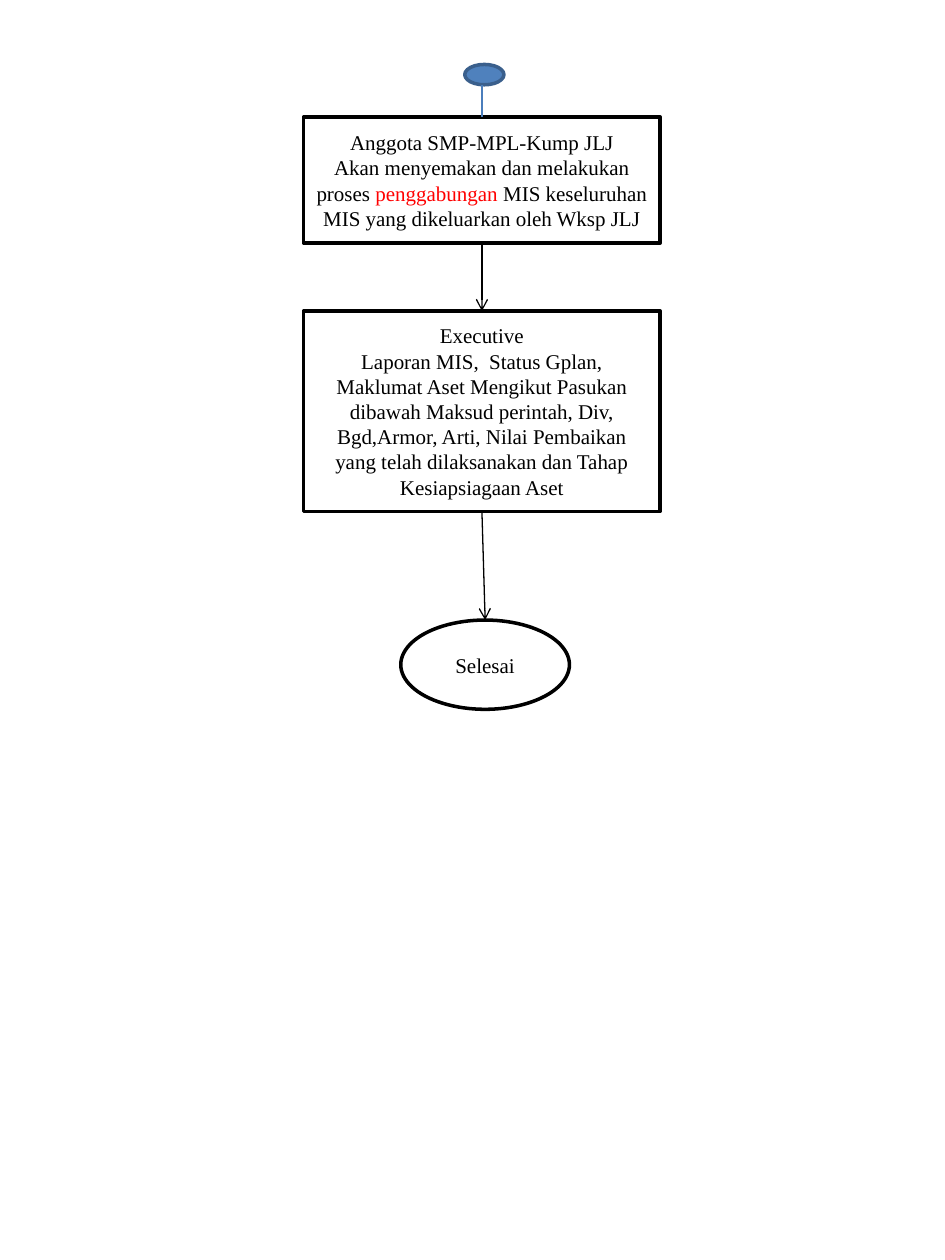
import lxml.etree
import pptx
import pptx.util
import pptx.dml.color
import pptx.enum.shapes
import pptx.enum.text
import pptx.oxml.ns
from pptx.util import Cm

KIND = pptx.enum.shapes.MSO_SHAPE
BLACK, RED = "000000", "FF0000"

NODES = {
    "start": (KIND.OVAL, (9.37, 1.3, 0.79, 0.41), "4F81BD", "3A5F8C", []),
    "merge": (KIND.RECTANGLE, (6.12, 2.36, 7.19, 2.54), None, BLACK, [
        [("Anggota SMP-MPL-Kump JLJ", BLACK)],
        [("Akan menyemakan dan melakukan proses ", BLACK),
         ("penggabungan", RED),
         (" MIS keseluruhan MIS yang dikeluarkan oleh Wksp JLJ", BLACK)],
    ]),
    "report": (KIND.RECTANGLE, (6.12, 6.27, 7.19, 4.04), None, BLACK, [
        [("Executive", BLACK)],
        [("Laporan MIS,  Status Gplan, Maklumat Aset Mengikut Pasukan "
          "dibawah Maksud perintah, Div, Bgd,Armor, Arti, Nilai Pembaikan "
          "yang telah dilaksanakan dan Tahap Kesiapsiagaan Aset", BLACK)],
    ]),
    "end": (KIND.OVAL, (8.08, 12.5, 3.4, 1.8), None, BLACK,
            [[("Selesai", BLACK)]]),
}
ARROWS = [("merge", "report"), ("report", "end")]


def color(code):
    return pptx.dml.color.RGBColor.from_string(code)


def add_text(shape, paras):
    frame = shape.text_frame
    frame.word_wrap = True
    frame.vertical_anchor = pptx.enum.text.MSO_ANCHOR.MIDDLE
    for i, runs in enumerate(paras):
        para = frame.add_paragraph() if i else frame.paragraphs[0]
        para.alignment = pptx.enum.text.PP_ALIGN.CENTER
        for text, ink in runs:
            run = para.add_run()
            run.text = text
            run.font.name = "Times New Roman"
            run.font.size = pptx.util.Pt(12)
            run.font.color.rgb = color(ink)


def add_node(slide, kind, box, fill, edge, paras):
    shape = slide.shapes.add_shape(kind, *map(Cm, box))
    shape.shadow.inherit = False
    if fill:
        shape.fill.solid()
        shape.fill.fore_color.rgb = color(fill)
    else:
        shape.fill.background()
    shape.line.color.rgb = color(edge)
    shape.line.width = pptx.util.Pt(2)
    add_text(shape, paras)
    return shape


def add_line(slide, ink, x, y, arrow=False):
    link = slide.shapes.add_connector(
        pptx.enum.shapes.MSO_CONNECTOR.STRAIGHT, x, y, x, y)
    link.line.color.rgb = color(ink)
    link.line.width = pptx.util.Pt(0.75)
    qn = pptx.oxml.ns.qn
    props = link._element.spPr
    if arrow:
        lxml.etree.SubElement(
            props.find(qn("a:ln")), qn("a:tailEnd"), type="arrow")
    lxml.etree.SubElement(props, qn("a:effectLst"))
    return link


def main():
    deck = pptx.Presentation()
    deck.slide_width, deck.slide_height = Cm(19.05), Cm(25.4)
    slide = deck.slides.add_slide(deck.slide_layouts[6])
    nodes = {name: add_node(slide, *spec) for name, spec in NODES.items()}

    start, merge = nodes["start"], nodes["merge"]
    stem = add_line(slide, "4B7EBC", merge.left + merge.width // 2,
                    start.top + start.height)
    stem.end_connect(merge, 0)

    for src, dest in ARROWS:
        link = add_line(slide, BLACK, 0, 0, True)
        link.begin_connect(nodes[src], 2)
        link.end_connect(nodes[dest], 0)
    deck.save("out.pptx")


if __name__ == "__main__":
    main()
